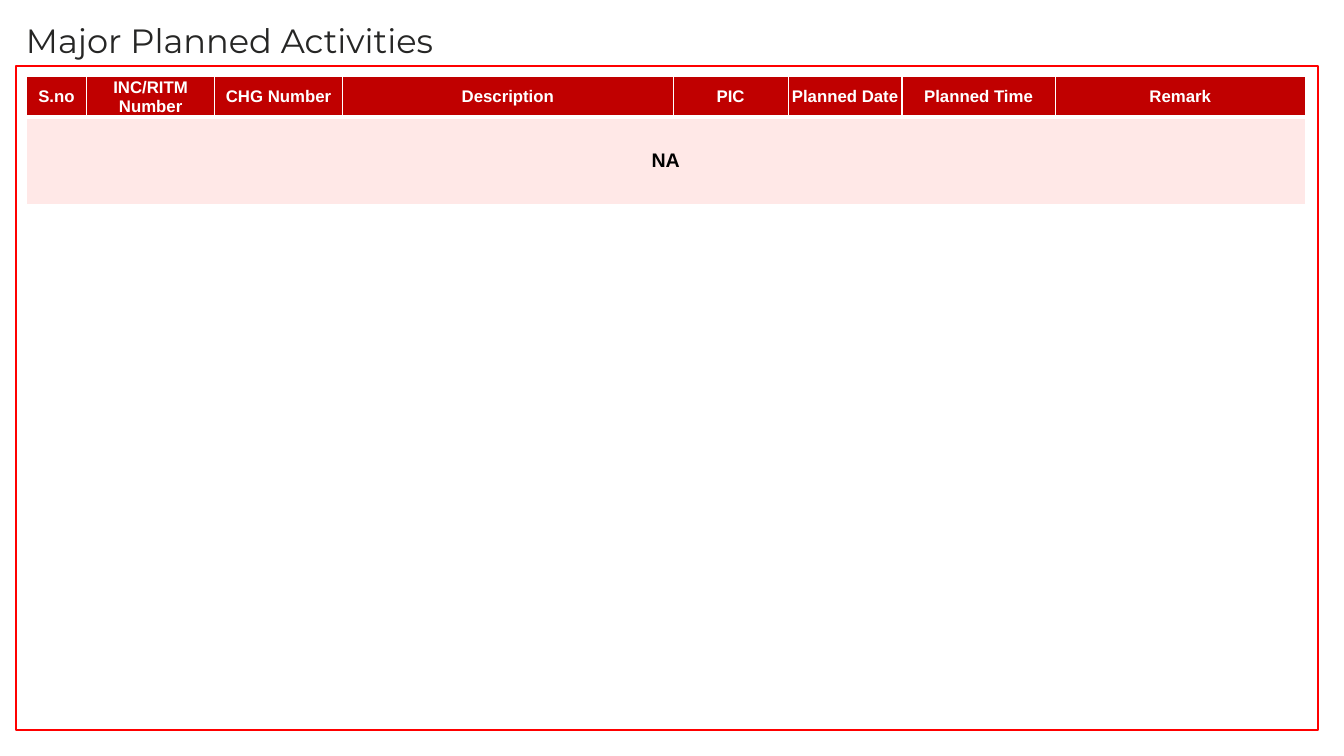
from lxml.etree import SubElement as Sub
from pptx import Presentation
from pptx.dml.color import RGBColor as Rgb
from pptx.enum.shapes import MSO_SHAPE as Kind
from pptx.enum.text import MSO_ANCHOR as Anchor, PP_ALIGN as Align
from pptx.oxml.ns import qn
from pptx.util import Pt


def color(code):
    return Rgb.from_string(code)


def write(frame, text, size=12, font="Arial", ink="FFFFFF", bold=True, align=Align.CENTER):
    para = frame.paragraphs[0]
    para.alignment = align
    run = para.add_run()
    run.text = text
    run.font.size = Pt(size)
    run.font.name = font
    run.font.bold = bold
    run.font.color.rgb = color(ink)


deck = Presentation()
deck.slide_width, deck.slide_height = Pt(960), Pt(540)
slide = deck.slides.add_slide(deck.slide_layouts[6])

frame = slide.shapes.add_shape(Kind.RECTANGLE, Pt(11.2), Pt(47.2), Pt(930.2), Pt(474.5))
frame.shadow.inherit = False
frame.fill.background()
frame.line.color.rgb = color("FF0000")
frame.line.width = Pt(1.5)

title = slide.shapes.add_textbox(Pt(11.5), Pt(10.8), Pt(593), Pt(36)).text_frame
title.word_wrap = True
write(title, "Major Planned Activities", size=24, font="Montserrat", ink="262625",
      bold=False, align=Align.LEFT)

heads = [
    ("S.no", 43.2), ("INC/RITM Number", 91.4), ("CHG Number", 91.4), ("Description", 236.2),
    ("PIC", 82.1), ("Planned Date", 81.4), ("Planned Time", 109.4), ("Remark", 178.6),
]
tall = [28.8, 62.6]
wide = sum(width for name, width in heads)
table = slide.shapes.add_table(2, len(heads), Pt(18.7), Pt(54.9), Pt(wide), Pt(sum(tall))).table
for row, high in zip(table.rows, tall):
    row.height = Pt(high)

for col, (name, width) in enumerate(heads):
    table.columns[col].width = Pt(width)
    cell = table.cell(0, col)
    cell.margin_left = cell.margin_right = cell.margin_top = cell.margin_bottom = 0
    write(cell.text_frame, name)

body = table.cell(1, 0)
body.merge(table.cell(1, len(heads) - 1))
write(body.text_frame, "NA", size=14, ink="000000")

looks = [("C00000", "lnB"), ("FFE8E7", "lnT")]
for row, (shade, thick) in zip(table.rows, looks):
    for cell in row.cells:
        cell.vertical_anchor = Anchor.MIDDLE
        cell.fill.solid()
        cell.fill.fore_color.rgb = color(shade)
        props = cell._tc.get_or_add_tcPr()
        for spot, side in enumerate(["lnL", "lnR", "lnT", "lnB"]):
            edge = Sub(props, qn("a:" + side), w=str(Pt(3 if side == thick else 1)))
            Sub(Sub(edge, qn("a:solidFill")), qn("a:srgbClr"), val="FFFFFF")
            props.insert(spot, edge)

deck.save("out.pptx")
